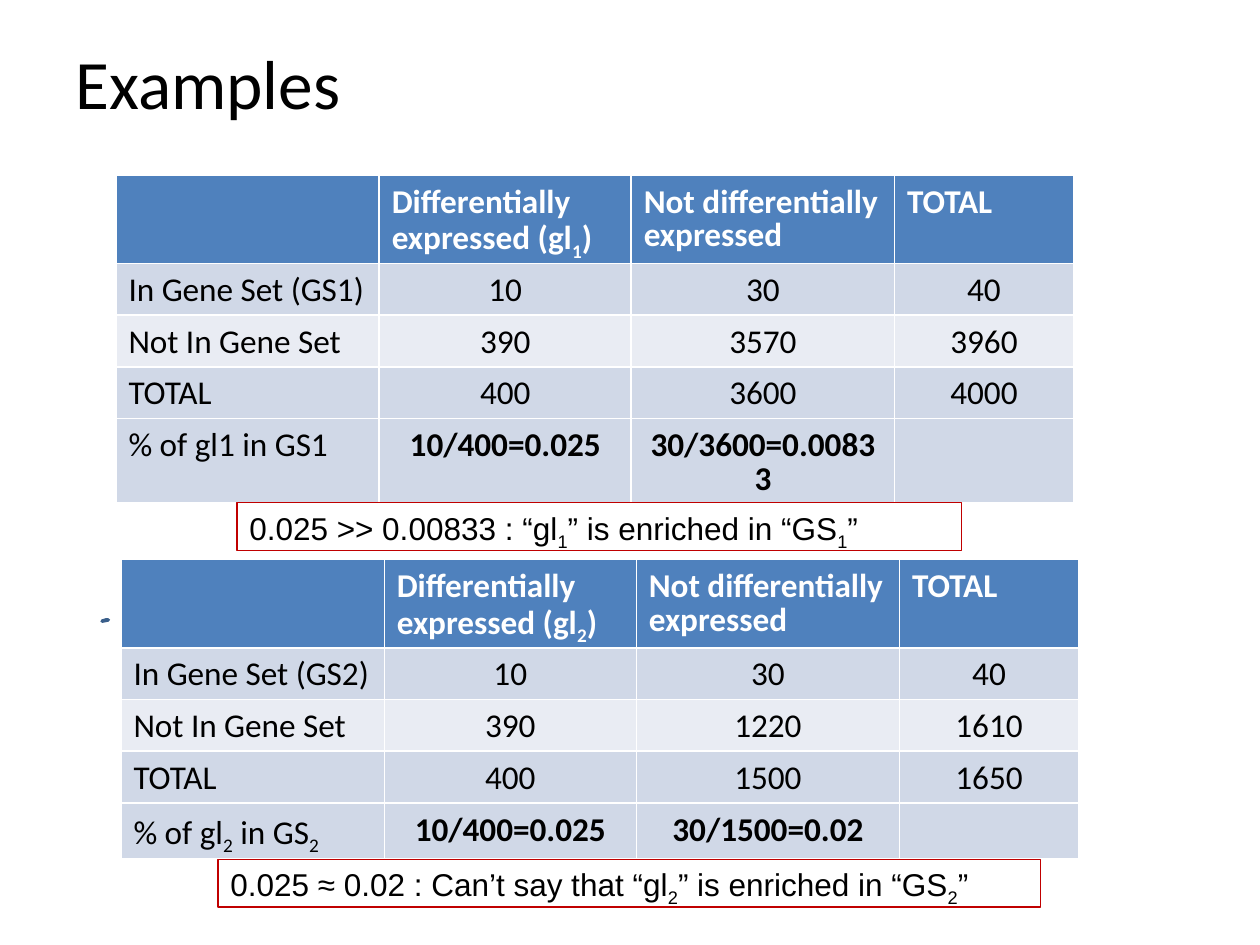
from lxml.etree import SubElement
from pptx import Presentation
from pptx.dml.color import RGBColor
from pptx.enum.shapes import MSO_SHAPE
from pptx.enum.text import MSO_ANCHOR, PP_ALIGN
from pptx.oxml.ns import qn
from pptx.util import Inches, Pt

WIDTH, HEIGHT = Inches(10), Inches(7.5)
BLACK = RGBColor(0x00, 0x00, 0x00)
WHITE = RGBColor(0xFF, 0xFF, 0xFF)
HEADER_BLUE = RGBColor(0x4F, 0x81, 0xBD)
BAND_DARK = RGBColor(0xD0, 0xD8, 0xE7)
BAND_LIGHT = RGBColor(0xE9, 0xEC, 0xF3)
STROKE_BLUE = RGBColor(0x3A, 0x5F, 0x8B)
RED = RGBColor(0xC0, 0x00, 0x00)

COLUMN_SHARES = (20.9, 20, 20.9, 14.2)
HEADER_SHARE, ROW_SHARE = 8.8, 5.47
CELL_FORMAT = {
    "margin_left": Inches(0.1), "margin_right": Inches(0.1),
    "margin_top": Inches(0.09), "margin_bottom": Inches(0.05),
}


def across(percent):
    return int(WIDTH * percent / 100)


def down(percent):
    return int(HEIGHT * percent / 100)


def place(box):
    left, top, width, height = box
    return across(left), down(top), across(width), down(height)


def apply(target, values):
    for name, value in values.items():
        setattr(target, name, value)


def write(para, marked_text, font, color, spacing=None, align=PP_ALIGN.LEFT):
    """Underscores enclose the subscripts in marked_text."""
    apply(para, {"alignment": align, "line_spacing": spacing})
    for index, part in enumerate(marked_text.split("_")):
        if part:
            span = para.add_run()
            span.text = part
            apply(span.font, font)
            span.font.color.rgb = color
            if index % 2:
                span.font._element.set("baseline", "-25000")


def add_title(page, box, text):
    title = page.shapes.title
    apply(title, dict(zip(("left", "top", "width", "height"), place(box))))
    title.text_frame.vertical_anchor = MSO_ANCHOR.MIDDLE
    write(title.text_frame.paragraphs[0], text, {"name": "Calibri", "size": Pt(39.6)}, BLACK)


def add_borders(cell):
    properties = cell._tc.get_or_add_tcPr()
    for side in ("a:lnL", "a:lnR", "a:lnT", "a:lnB"):
        line = SubElement(properties, qn(side), w=str(Pt(0.96)))
        fill = SubElement(line, qn("a:solidFill"))
        SubElement(fill, qn("a:srgbClr"), val=str(WHITE))


def add_gene_table(page, left, top, rows, last_share):
    row_shares = (HEADER_SHARE, ROW_SHARE, ROW_SHARE, ROW_SHARE, last_share)
    box = (left, top, sum(COLUMN_SHARES), sum(row_shares))
    table = page.shapes.add_table(len(rows), len(COLUMN_SHARES), *place(box)).table
    for column, share in zip(table.columns, COLUMN_SHARES):
        column.width = across(share)
    for row, share in zip(table.rows, row_shares):
        row.height = down(share)
    for r, texts in enumerate(rows):
        band = HEADER_BLUE if r == 0 else BAND_LIGHT if r == 2 else BAND_DARK
        for c, text in enumerate(texts):
            cell = table.cell(r, c)
            apply(cell, CELL_FORMAT)
            add_borders(cell)
            cell.fill.solid()
            cell.fill.fore_color.rgb = band
            is_value = r > 0 and c > 0
            bold = r == 0 or (is_value and r == len(rows) - 1)
            write(cell.text_frame.paragraphs[0], text,
                  {"name": "Calibri", "size": Pt(19), "bold": bold},
                  BLACK if r else WHITE, 0.83,
                  PP_ALIGN.CENTER if is_value else PP_ALIGN.LEFT)


def add_conclusion(page, box, text):
    note = page.shapes.add_shape(MSO_SHAPE.RECTANGLE, *place(box))
    note.shadow.inherit = False
    note.fill.background()
    note.line.color.rgb = RED
    note.line.width = Pt(0.75)
    apply(note.text_frame, {"word_wrap": True, "vertical_anchor": MSO_ANCHOR.TOP})
    write(note.text_frame.paragraphs[0], text, {"name": "Arial", "size": Pt(18)}, BLACK, 0.93)


def add_pen_mark(page, points):
    start, *others = [(across(x), down(y)) for x, y in points]
    builder = page.shapes.build_freeform(*start)
    builder.add_line_segments(others, close=True)
    mark = builder.convert_to_shape()
    mark.shadow.inherit = False
    mark.fill.background()
    mark.line.color.rgb = STROKE_BLUE
    mark.line.width = Pt(2)


def gene_rows(number, outside, totals, share_label, second_share):
    return (
        ("", f"Differentially expressed (gl_{number}_)", "Not differentially expressed", "TOTAL"),
        (f"In Gene Set (GS{number})", "10", "30", "40"),
        ("Not In Gene Set", "390", *outside),
        ("TOTAL", "400", *totals),
        (share_label, "10/400=0.025", second_share, ""),
    )


def main():
    deck = Presentation()
    apply(deck, {"slide_width": WIDTH, "slide_height": HEIGHT})
    page = deck.slides.add_slide(deck.slide_layouts[5])
    add_title(page, (5, 4, 90, 9.33), "Examples")
    add_gene_table(page, 9.2, 18.53, gene_rows(
        1, ("3570", "3960"), ("3600", "4000"), "% of gl1 in GS1", "30/3600=0.00833"), HEADER_SHARE)
    add_pen_mark(page, ((8.1, 65.73), (8.6, 65.6), (8.4, 65.6)))
    add_gene_table(page, 9.6, 59.2, gene_rows(
        2, ("1220", "1610"), ("1500", "1650"), "% of gl_2_ in GS_2_", "30/1500=0.02"), ROW_SHARE)
    add_conclusion(page, (18.8, 53.2, 57.5, 5.07),
                   "0.025 >> 0.00833 : “gl_1_” is enriched in “GS_1_”")
    add_conclusion(page, (17.3, 90.93, 65.3, 5.07),
                   "0.025 ≈ 0.02 : Can’t say that “gl_2_” is enriched in “GS_2_”")
    deck.save("out.pptx")


if __name__ == "__main__":
    main()
